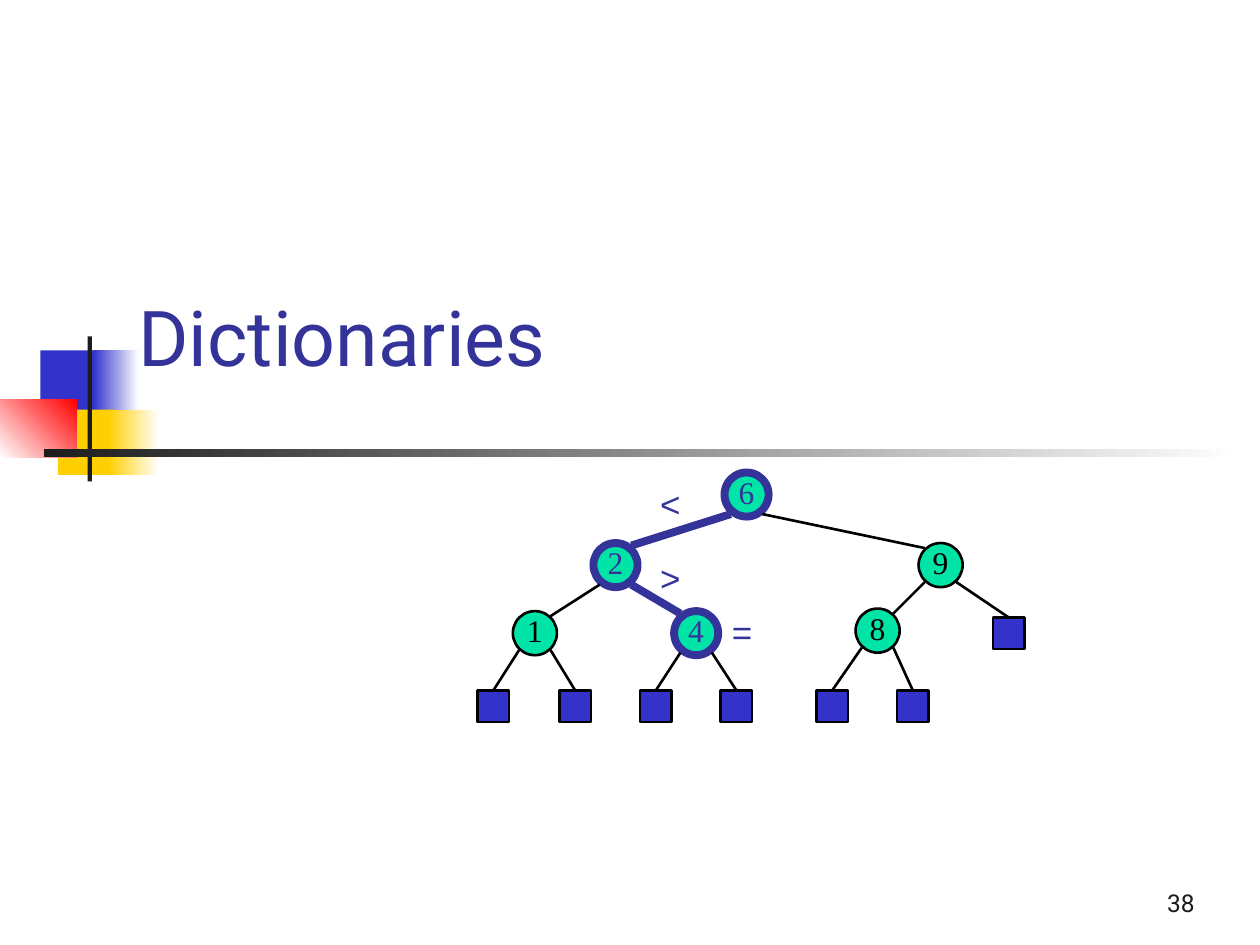
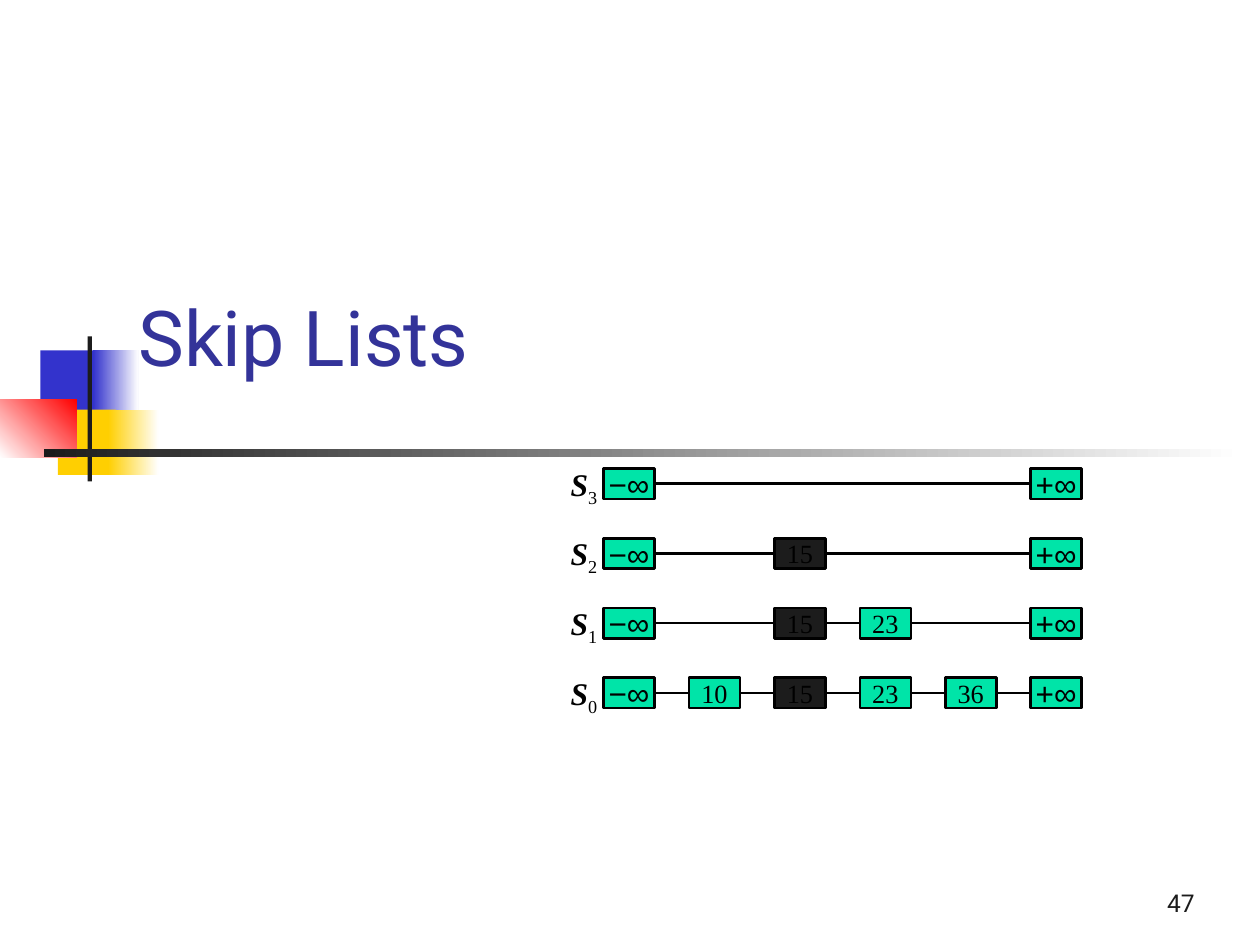
from pptx import Presentation
from pptx.dml.color import RGBColor
from pptx.enum.shapes import MSO_CONNECTOR, MSO_SHAPE
from pptx.enum.text import MSO_ANCHOR, PP_ALIGN
from pptx.util import Inches, Pt
from lxml import etree

COLS, ROWS = 100, 75
CELL = Inches(0.1)
WHITE, BLACK, DARK = "FFFFFF", "000000", "1C1C1C"
BLUE, NAVY, GOLD, RED, GREEN = "3333CC", "333399", "FFCF01", "FF0000", "00E4A8"
SANS, HEADING, SERIF = "Arial", "Roboto", "Times New Roman"
INSETS = (1, 0.5, 1, 0.5)
NODE, LEAF = 3.5, 2.5

TREE_NODES = {"6": (59.25, 39.25), "9": (74.65, 44.85), "2": (48.85, 44.85),
              "4": (55.25, 50.25), "1": (42.45, 50.25), "8": (69.65, 50.05)}
SEARCH_PATH = ("6", "2", "4")
TREE_EDGES = (("6", "2"), ("6", "9"), ("2", "1"), ("2", "4"), ("9", "8"))
LEAVES = (("1", 39.15, 56.05), ("1", 45.65, 56.05), ("4", 52.05, 56.05),
          ("4", 58.45, 56.05), ("8", 66.05, 56.05), ("8", 72.45, 56.05),
          ("9", 80.05, 50.25))
COMPARISONS = (("<", 51.4, 37.8, 3.6), (">", 51.4, 43.7, 3.6), ("=", 56.8, 48, 4.2))

LEVELS = ({}, {2: "15"}, {2: "15", 3: "23"}, {1: "10", 2: "15", 3: "23", 4: "36"})
FOUND_KEY = "15"
LIST_LEFT, LIST_TOP, COL_STEP, ROW_STEP = 47.9, 37.2, 6.78, 5.53
LAST_COL = 5


def cells(*values):
    """Turn grid cells into slide lengths."""
    return [round(v * CELL) for v in values]


def rgb(value):
    """Turn a hex string into a colour."""
    return RGBColor.from_string(value)


def add_run(p, text, size, font, color, bold=False, italic=False, baseline=0):
    """Append one formatted run to a paragraph."""
    r = p.add_run()
    r.text = text
    r.font.size, r.font.name = Pt(size), font
    r.font.bold, r.font.italic = bold, italic
    r.font.color.rgb = rgb(color)
    if baseline:
        r._r.get_or_add_rPr().set("baseline", str(baseline * 1000))


def frame(sp, align, anchor, wrap=False, insets=INSETS):
    """Set up a shape's text frame and return its first paragraph."""
    tf = sp.text_frame
    tf.word_wrap, tf.vertical_anchor = wrap, anchor
    tf.margin_left, tf.margin_top, tf.margin_right, tf.margin_bottom = cells(*insets)
    p = tf.paragraphs[0]
    p.alignment = align
    return p


def add_text(s, box, align=PP_ALIGN.CENTER, anchor=MSO_ANCHOR.TOP, wrap=False):
    """Add a text box and return its paragraph."""
    return frame(s.shapes.add_textbox(*cells(*box)), align, anchor, wrap)


def add_box(s, kind, box, fill, line=None, width=1.5):
    """Add a solid preset shape, outlined if a line colour is given."""
    sp = s.shapes.add_shape(kind, *cells(*box))
    sp.shadow.inherit = False
    sp.fill.solid()
    sp.fill.fore_color.rgb = rgb(fill)
    if line:
        sp.line.color.rgb = rgb(line)
        sp.line.width = Pt(width)
    else:
        sp.line.fill.background()
    return sp


def add_fade(s, box, start, end, angle=0):
    """Add a rectangle that fades between two colours."""
    sp = add_box(s, MSO_SHAPE.RECTANGLE, box, start)
    sp.fill.gradient()
    sp.fill.gradient_angle = angle
    for stop, color, position in zip(sp.fill.gradient_stops, (start, end), (0, 1)):
        stop.color.rgb = rgb(color)
        stop.position = position


def add_line(s, start=(0, 0), end=(0, 0), color=BLACK, width=1.5):
    """Add a straight connector without a shadow."""
    cx = s.shapes.add_connector(MSO_CONNECTOR.STRAIGHT, *cells(*start, *end))
    cx.line.color.rgb = rgb(color)
    cx.line.width = Pt(width)
    ns = "http://schemas.openxmlformats.org/drawingml/2006/main"
    etree.SubElement(cx._element.spPr, f"{{{ns}}}effectLst")
    return cx


def add_page(prs, title, number):
    """Add a slide with the shared ornament, title and number."""
    s = prs.slides.add_slide(prs.slide_layouts[6])
    add_box(s, MSO_SHAPE.RECTANGLE, (3.2, 27.8, 4.8, 5.2), BLUE)
    add_fade(s, (7.4, 27.8, 3.6, 5.2), BLUE, WHITE)
    add_box(s, MSO_SHAPE.RECTANGLE, (4.6, 32.5, 4.6, 5.2), GOLD)
    add_fade(s, (8.6, 32.5, 4, 5.2), GOLD, WHITE)
    add_fade(s, (0, 31.7, 6.1, 4.6), WHITE, RED, 45)
    add_box(s, MSO_SHAPE.RECTANGLE, (6.95, 26.7, 0.35, 11.5), DARK)
    add_fade(s, (3.5, 35.65, 95.1, 0.63), DARK, WHITE)
    p = add_text(s, (75, 68.3, 20.8, 5), PP_ALIGN.RIGHT, MSO_ANCHOR.BOTTOM, True)
    add_run(p, number, 14, HEADING, DARK)
    p = add_text(s, (10, 18.3, 85, 12.5), PP_ALIGN.LEFT, MSO_ANCHOR.BOTTOM, True)
    add_run(p, title, 44, HEADING, NAVY)
    return s


def tree_style(key):
    """Return the line colour and width of a tree node."""
    return (NAVY, 4.5) if key in SEARCH_PATH else (BLACK, 1.5)


def node_corner(key, toward_x, down):
    """Return the point of a node's rim where an edge meets it."""
    x, y = TREE_NODES[key]
    dx = 1.25 if toward_x > x else -1.25
    dy = 1.55 if key in SEARCH_PATH else 1.35
    return x + dx, y + (dy if down else -dy)


def add_node(s, key):
    """Add one round tree node."""
    x, y = TREE_NODES[key]
    color, width = tree_style(key)
    box = (x - NODE / 2, y - NODE / 2, NODE, NODE)
    sp = add_box(s, MSO_SHAPE.OVAL, box, GREEN, color, width)
    p = frame(sp, PP_ALIGN.CENTER, MSO_ANCHOR.MIDDLE, insets=(0, 0, 0, 0.5))
    add_run(p, key, 18, SERIF, color)


def add_edge(s, parent, child):
    """Join two tree nodes."""
    start = node_corner(parent, TREE_NODES[child][0], True)
    end = node_corner(child, TREE_NODES[parent][0], False)
    on_path = parent in SEARCH_PATH and child in SEARCH_PATH
    add_line(s, start, end, *tree_style(child if on_path else None))


def add_leaf(s, parent, x, y):
    """Add a square leaf and join it to its parent."""
    box = (x - LEAF / 2, y - LEAF / 2, LEAF, LEAF)
    sp = add_box(s, MSO_SHAPE.RECTANGLE, box, BLUE, BLACK)
    cx = add_line(s, node_corner(parent, x, True), (x, y - LEAF / 2))
    cx.end_connect(sp, 0)


def add_search_tree(s):
    """Draw the search tree with its highlighted path."""
    for key in TREE_NODES:
        add_node(s, key)
    for parent, child in TREE_EDGES:
        add_edge(s, parent, child)
    for leaf in LEAVES:
        add_leaf(s, *leaf)
    for sign, x, y, w in COMPARISONS:
        add_run(add_text(s, (x, y, w, 4.4)), sign, 20, SANS, NAVY)


def add_key(s, col, top, key):
    """Add one box of a skip list level."""
    fill = DARK if key == FOUND_KEY else GREEN
    box = (LIST_LEFT + col * COL_STEP, top, 4.05, 2.4)
    sp = add_box(s, MSO_SHAPE.RECTANGLE, box, fill, BLACK)
    p = frame(sp, PP_ALIGN.CENTER, MSO_ANCHOR.MIDDLE)
    size, font = (18, SANS) if "∞" in key else (15, SERIF)
    add_run(p, key, size, font, BLACK)
    return sp


def add_level(s, row, keys):
    """Add a labelled skip list level and link its boxes."""
    top = LIST_TOP + row * ROW_STEP
    p = add_text(s, (44.3, top - 0.8, 4.1, 4.4))
    add_run(p, "S", 18, SERIF, BLACK, bold=True, italic=True)
    add_run(p, str(len(LEVELS) - 1 - row), 18, SERIF, BLACK, baseline=-25)
    level = {0: "−∞", **keys, LAST_COL: "+∞"}
    boxes = [add_key(s, col, top, key) for col, key in level.items()]
    for left, right in zip(boxes, boxes[1:]):
        cx = add_line(s)
        cx.begin_connect(left, 3)
        cx.end_connect(right, 1)


def main():
    """Build both slides and save them."""
    prs = Presentation()
    prs.slide_width, prs.slide_height = cells(COLS, ROWS)
    add_search_tree(add_page(prs, "Dictionaries", "38"))
    s = add_page(prs, "Skip Lists", "47")
    for row, keys in enumerate(LEVELS):
        add_level(s, row, keys)
    prs.save("out.pptx")


if __name__ == "__main__":
    main()
